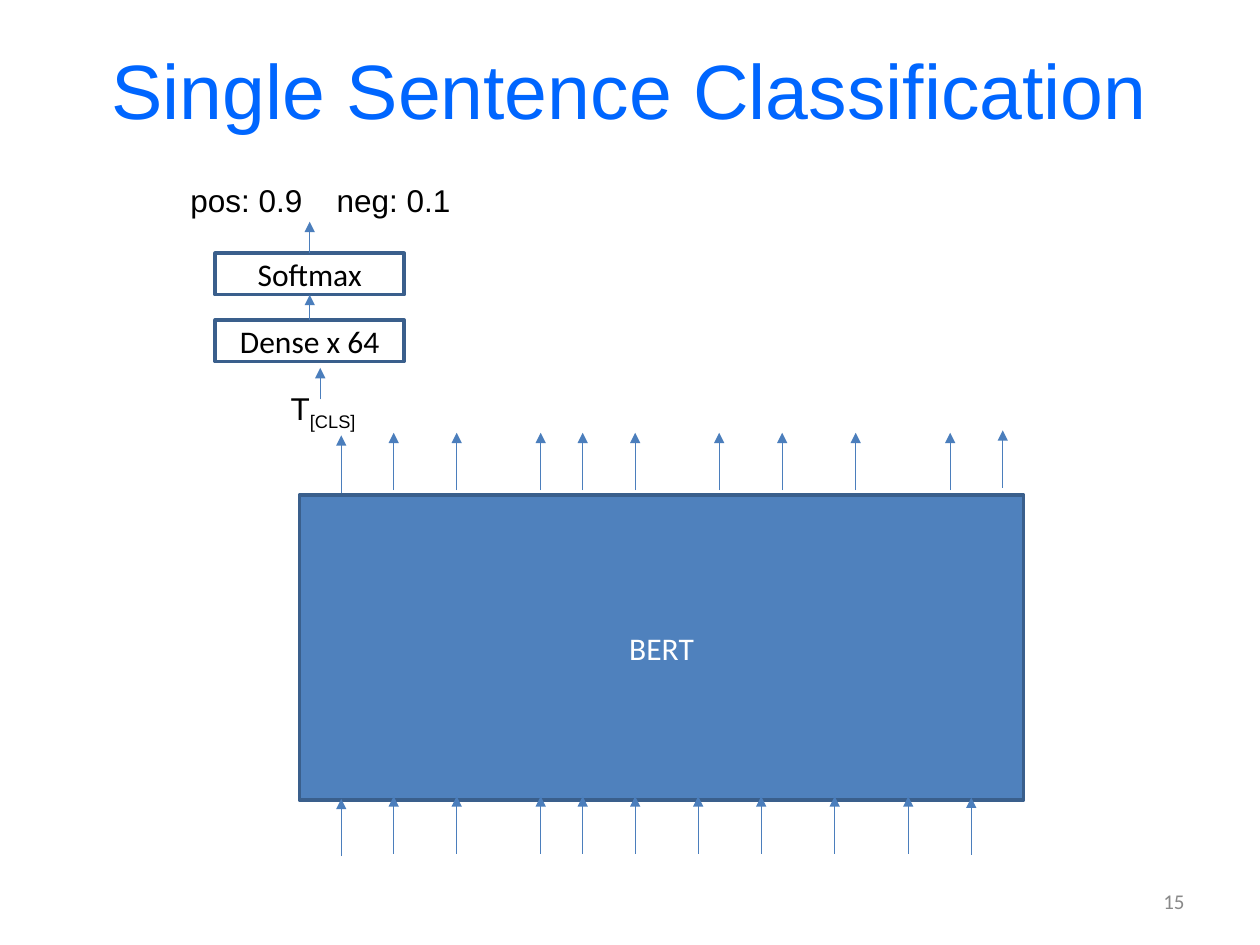
from pptx import Presentation
from pptx.dml.color import RGBColor
from pptx.enum.shapes import MSO_CONNECTOR, MSO_SHAPE
from pptx.enum.text import MSO_ANCHOR, PP_ALIGN
from pptx.oxml.ns import qn
from pptx.util import Inches, Pt
from lxml import etree

STRAIGHT = MSO_CONNECTOR.STRAIGHT
RECTANGLE = MSO_SHAPE.RECTANGLE
TOP, MIDDLE = MSO_ANCHOR.TOP, MSO_ANCHOR.MIDDLE
LEFT, CENTER, RIGHT = PP_ALIGN.LEFT, PP_ALIGN.CENTER, PP_ALIGN.RIGHT
SITE_TOP, SITE_BOTTOM = 0, 2

TITLE_BLUE = RGBColor(0x00, 0x66, 0xFF)
BLOCK_FILL = RGBColor(0x4F, 0x81, 0xBD)
BLOCK_LINE = RGBColor(0x3A, 0x5F, 0x8C)
ARROW_BLUE = RGBColor(0x4B, 0x7E, 0xBC)
BLACK = RGBColor(0x00, 0x00, 0x00)
WHITE = RGBColor(0xFF, 0xFF, 0xFF)
GRAY = RGBColor(0x89, 0x89, 0x89)

WIDTH, HEIGHT = Inches(10), Inches(7.5)
COLUMNS, ROWS = 240, 150

# Grid columns of the token arrows; the first six are shared by both sides.
SHARED_TOKENS = [65, 75, 87, 103, 111, 121]
INPUT_TOKENS = SHARED_TOKENS + [133, 145, 159, 173, 185]
OUTPUT_TOKENS = SHARED_TOKENS + [137, 149, 163, 181, 191]
ARROW_ROWS = 9.1


def across(columns):
    return round(WIDTH * columns / COLUMNS)


def down(rows):
    return round(HEIGHT * rows / ROWS)


def write(para, text, font="Arial", size=18, color=BLACK, baseline=None):
    """Add one formatted span; baseline is a percentage, negative for subscript."""
    span = para.add_run()
    span.text = text
    span.font.name = font
    span.font.size = Pt(size)
    span.font.color.rgb = color
    if baseline is not None:
        span.font._element.set("baseline", str(baseline * 1000))


class Diagram:
    """Places elements on a page by grid columns and rows."""

    def __init__(self, page):
        self.page = page

    def text(self, left, top, width, height, align=LEFT, anchor=TOP):
        """Add an empty text box and return its text frame."""
        box = self.page.shapes.add_textbox(
            across(left), down(top), across(width), down(height))
        frame = box.text_frame
        frame.word_wrap = True
        frame.vertical_anchor = anchor
        frame.paragraphs[0].alignment = align
        return frame

    def block(self, label, left, top, width, height, fill=None, color=BLACK):
        box = self.page.shapes.add_shape(
            RECTANGLE, across(left), down(top), across(width), down(height))
        box.shadow.inherit = False
        if fill is None:
            box.fill.background()
        else:
            box.fill.solid()
            box.fill.fore_color.rgb = fill
        box.line.color.rgb = BLOCK_LINE
        box.line.width = Pt(2)
        box.text_frame.vertical_anchor = MIDDLE
        para = box.text_frame.paragraphs[0]
        para.alignment = CENTER
        write(para, label, font="Calibri", color=color)
        return box

    def arrow_up(self, column, bottom, height, source=None, target=None):
        """Draw an upward arrow, joined to the source's top and target's bottom."""
        arrow = self.page.shapes.add_connector(
            STRAIGHT, across(column), down(bottom),
            across(column), down(bottom - height))
        if source is not None:
            arrow.begin_connect(source, SITE_TOP)
        if target is not None:
            arrow.end_connect(target, SITE_BOTTOM)
        arrow.line.color.rgb = ARROW_BLUE
        arrow.line.width = Pt(0.75)
        line = arrow.line._get_or_add_ln()
        etree.SubElement(line, qn("a:tailEnd"), type="triangle")
        etree.SubElement(arrow._element.spPr, qn("a:effectLst"))

    def token_arrows(self, columns, bottom):
        """Draw a row of arrows whose outer two sit slightly off the row."""
        offsets = [0.4] + [0] * (len(columns) - 2)
        last_offset = 0.2 if columns is INPUT_TOKENS else -0.4
        for column, offset in zip(columns, offsets + [last_offset]):
            self.arrow_up(column, bottom + offset, ARROW_ROWS)


def set_tab(para, position):
    tabs = etree.SubElement(para._p.get_or_add_pPr(), qn("a:tabLst"))
    etree.SubElement(tabs, qn("a:tab"), pos=str(position), algn="l")


def main():
    deck = Presentation()
    deck.slide_width, deck.slide_height = WIDTH, HEIGHT
    diagram = Diagram(deck.slides.add_slide(deck.slide_layouts[6]))

    title = diagram.text(12, 1.6, 216, 25, CENTER, MIDDLE)
    write(title.paragraphs[0], "Single Sentence Classification",
          size=44, color=TITLE_BLUE)
    number = diagram.text(172, 139, 56, 8, RIGHT, MIDDLE)
    write(number.paragraphs[0], "15", font="Calibri", size=12, color=GRAY)

    scores = diagram.text(32.2, 27.8, 56.6, 8)
    scores.margin_left = Inches(0.17)
    set_tab(scores.paragraphs[0], Inches(1.16))
    write(scores.paragraphs[0], "pos: 0.9\tneg: 0.1")

    dense = diagram.block("Dense x 64", 41, 50.8, 36, 6.6)
    softmax = diagram.block("Softmax", 41, 40.2, 36, 6.6)
    diagram.arrow_up(59, 40.2, 5, source=softmax)
    diagram.arrow_up(59, 50.8, 4, source=dense, target=softmax)
    diagram.arrow_up(61, 63.4, 5)

    diagram.block("BERT", 57, 78.6, 138, 48.4, fill=BLOCK_FILL, color=WHITE)
    diagram.token_arrows(INPUT_TOKENS, 135.5)
    diagram.token_arrows(OUTPUT_TOKENS, 77.8)

    cls_output = diagram.text(53, 60.8, 152, 8).paragraphs[0]
    write(cls_output, "T")
    write(cls_output, "[CLS]", baseline=-25)

    deck.save("out.pptx")


if __name__ == "__main__":
    main()
